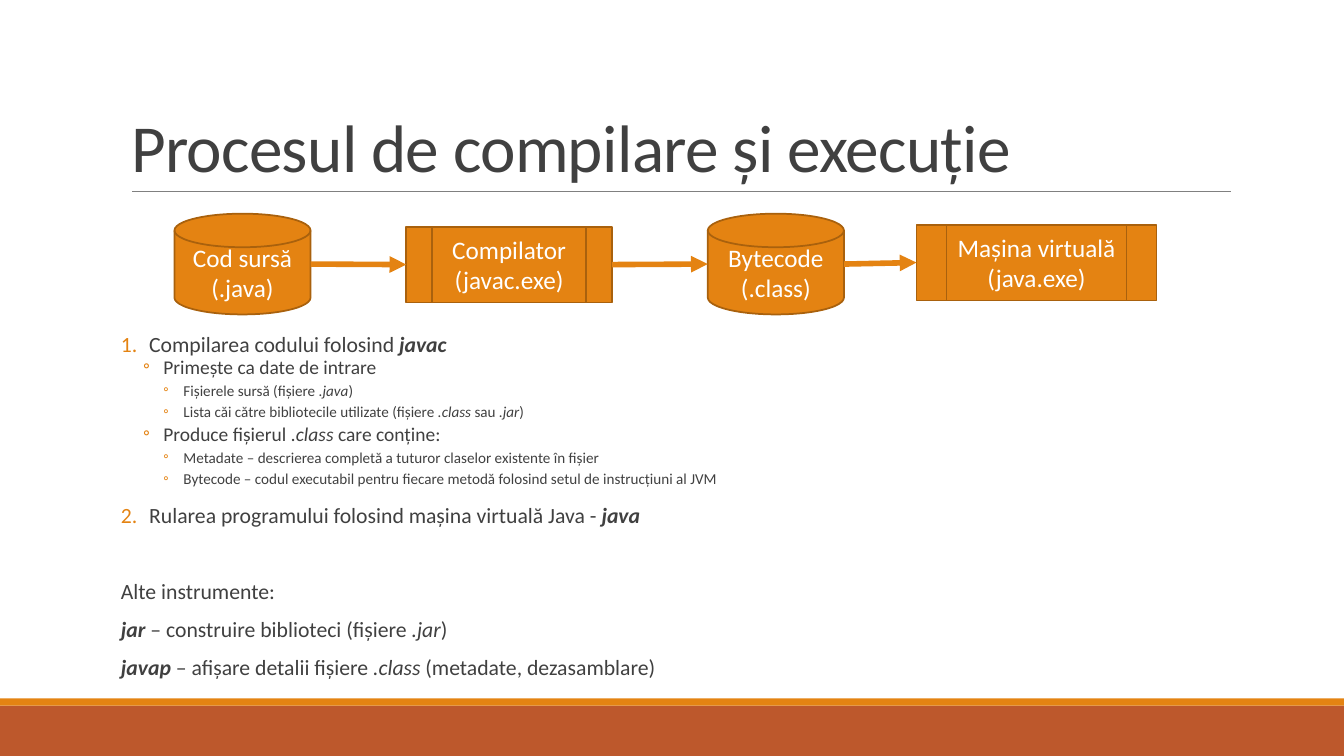
"""Build the slide about compiling and running Java code."""
from lxml.etree import SubElement
from pptx import Presentation
from pptx.dml.color import RGBColor
from pptx.enum.shapes import MSO_CONNECTOR, MSO_SHAPE
from pptx.enum.text import MSO_ANCHOR, MSO_AUTO_SIZE, PP_ALIGN
from pptx.oxml.ns import qn
from pptx.util import Inches, Pt

FONT = "Calibri"
COLORS = {"orange": "E48312", "rust": "BD582C", "outline": "A9610D",
          "rule": "808080", "text": "404040", "white": "FFFFFF"}
TITLE = "Procesul de compilare și execuție"

DISK = MSO_SHAPE.FLOWCHART_MAGNETIC_DISK
PROCESS = MSO_SHAPE.FLOWCHART_PREDEFINED_PROCESS
STAGES = [
    (DISK, (1.73, 2.12, 1.35, 1), ("Cod sursă", "(.java)")),
    (PROCESS, (4.03, 2.25, 2.04, 0.75), ("Compilator", "(javac.exe)")),
    (DISK, (7.02, 2.12, 1.35, 1), ("Bytecode", "(.class)")),
    (PROCESS, (9.09, 2.23, 2.38, 0.75), ("Mașina virtuală", "(java.exe)")),
]

BANDS = [("rust", 7, 0.5), ("orange", 6.93, 0.07)]

STYLES = {
    "step": {"level": 0, "size": 15.5, "before": 12, "after": 2, "indent": 0.28, "hang": 0.28},
    "point": {"level": 1, "size": 13.9, "before": 2, "after": 4, "indent": 0.42, "hang": 0.2},
    "detail": {"level": 2, "size": 10.8, "before": 2, "after": 4, "indent": 0.62, "hang": 0.2},
    "heading": {"level": 0, "size": 15.5, "before": 39.2, "after": 2, "indent": 0, "hang": 0},
    "plain": {"level": 0, "size": 15.5, "before": 12, "after": 2, "indent": 0, "hang": 0},
}
BULLETS = {
    "step": ("a:buAutoNum", {"type": "arabicPeriod"}),
    "point": ("a:buChar", {"char": "◦"}),
    "detail": ("a:buChar", {"char": "◦"}),
}
BODY = [
    ("step", [("Compilarea codului folosind ", ""), ("javac", "bi")]),
    ("point", [("Primește ca date de intrare", "")]),
    ("detail", [("Fișierele sursă (fișiere ", ""), (".java", "i"), (")", "")]),
    ("detail", [("Lista căi către bibliotecile utilizate (fișiere ", ""), (".class", "i"),
                (" sau ", ""), (".jar", "i"), (")", "")]),
    ("point", [("Produce fișierul ", ""), (".class", "i"), (" care conține:", "")]),
    ("detail", [("Metadate – descrierea completă a tuturor claselor existente în fișier", "")]),
    ("detail", [("Bytecode – codul executabil pentru fiecare metodă folosind setul de "
                 "instrucțiuni al JVM", "")]),
    ("step", [("Rularea programului folosind mașina virtuală Java - ", ""), ("java", "bi")]),
    ("heading", [("Alte instrumente:", "")]),
    ("plain", [("jar", "bi"), (" – construire biblioteci (fișiere ", ""), (".jar", "i"), (")", "")]),
    ("plain", [("javap", "bi"), (" – afișare detalii fișiere ", ""), (".class", "i"),
               (" (metadate, dezasamblare)", "")]),
]


def color(name):
    return RGBColor.from_string(COLORS[name])


def inches(values):
    return [Inches(value) for value in values]


def set_all(target, **values):
    for name, value in values.items():
        setattr(target, name, value)


def add_span(para, text, size, ink, style=""):
    span = para.add_run()
    span.text = text
    set_all(span.font, name=FONT, size=Pt(size), bold="b" in style, italic="i" in style)
    span.font.color.rgb = color(ink)
    return span


def add_block(page, kind, place, fill):
    block = page.shapes.add_shape(kind, *inches(place))
    block.shadow.inherit = False
    block.fill.solid()
    block.fill.fore_color.rgb = color(fill)
    block.line.fill.background()
    return block


def add_line(page, start, end, ink, width):
    line = page.shapes.add_connector(MSO_CONNECTOR.STRAIGHT, *inches(start + end))
    line.line.color.rgb = color(ink)
    line.line.width = Pt(width)
    SubElement(line._element.spPr, qn("a:effectLst"))
    return line


def add_title(page):
    title = page.shapes.title
    set_all(title, **dict(zip(("left", "top", "width", "height"), inches((1.2, 0.31, 11, 1.59)))))
    set_all(title.text_frame, vertical_anchor=MSO_ANCHOR.BOTTOM, word_wrap=True,
            auto_size=MSO_AUTO_SIZE.NONE)
    para = title.text_frame.paragraphs[0]
    set_all(para, alignment=PP_ALIGN.LEFT, line_spacing=0.85)
    span = add_span(para, TITLE, 48, "text")
    span.font._element.set("spc", "-50")


def add_body(page):
    frame = page.shapes.add_textbox(*inches((1.2, 3.3, 11, 3.61))).text_frame
    set_all(frame, word_wrap=True, margin_left=0, margin_right=0)
    for index, (kind, spans) in enumerate(BODY):
        para = frame.add_paragraph() if index else frame.paragraphs[0]
        style = STYLES[kind]
        set_all(para, level=style["level"], line_spacing=0.7,
                space_before=Pt(style["before"]), space_after=Pt(style["after"]))
        layout = para._p.get_or_add_pPr()
        layout.set("marL", str(Inches(style["indent"])))
        layout.set("indent", str(-Inches(style["hang"])))
        if kind in BULLETS:
            tint = SubElement(layout, qn("a:buClr"))
            SubElement(tint, qn("a:srgbClr"), val=COLORS["orange"])
            SubElement(layout, qn("a:buFont"), typeface=FONT)
            tag, marks = BULLETS[kind]
            SubElement(layout, qn(tag), marks)
        for text, emphasis in spans:
            add_span(para, text, style["size"], "text", emphasis)


def add_flow(page):
    for kind, place, lines in STAGES:
        block = add_block(page, kind, place, "orange")
        block.line.color.rgb = color("outline")
        block.line.width = Pt(1.25)
        frame = block.text_frame
        set_all(frame, vertical_anchor=MSO_ANCHOR.MIDDLE, word_wrap=True)
        for index, text in enumerate(lines):
            para = frame.add_paragraph() if index else frame.paragraphs[0]
            para.alignment = PP_ALIGN.CENTER
            add_span(para, text, 18, "white")
    places = [place for _, place, _ in STAGES]
    for (left, top, width, height), following in zip(places, places[1:]):
        start = (left + width, top + height / 2)
        end = (following[0], following[1] + following[3] / 2)
        arrow = add_line(page, start, end, "orange", 4)
        SubElement(arrow.line._get_or_add_ln(), qn("a:tailEnd"), type="triangle")


def main():
    deck = Presentation()
    set_all(deck, slide_width=Inches(13.33), slide_height=Inches(7.5))
    page = deck.slides.add_slide(deck.slide_layouts[5])
    for fill, top, height in BANDS:
        add_block(page, MSO_SHAPE.RECTANGLE, (0, top, 13.33, height), fill)
    add_line(page, (1.31, 1.9), (12.21, 1.9), "rule", 0.5)
    add_title(page)
    add_body(page)
    add_flow(page)
    deck.save("out.pptx")


if __name__ == "__main__":
    main()
